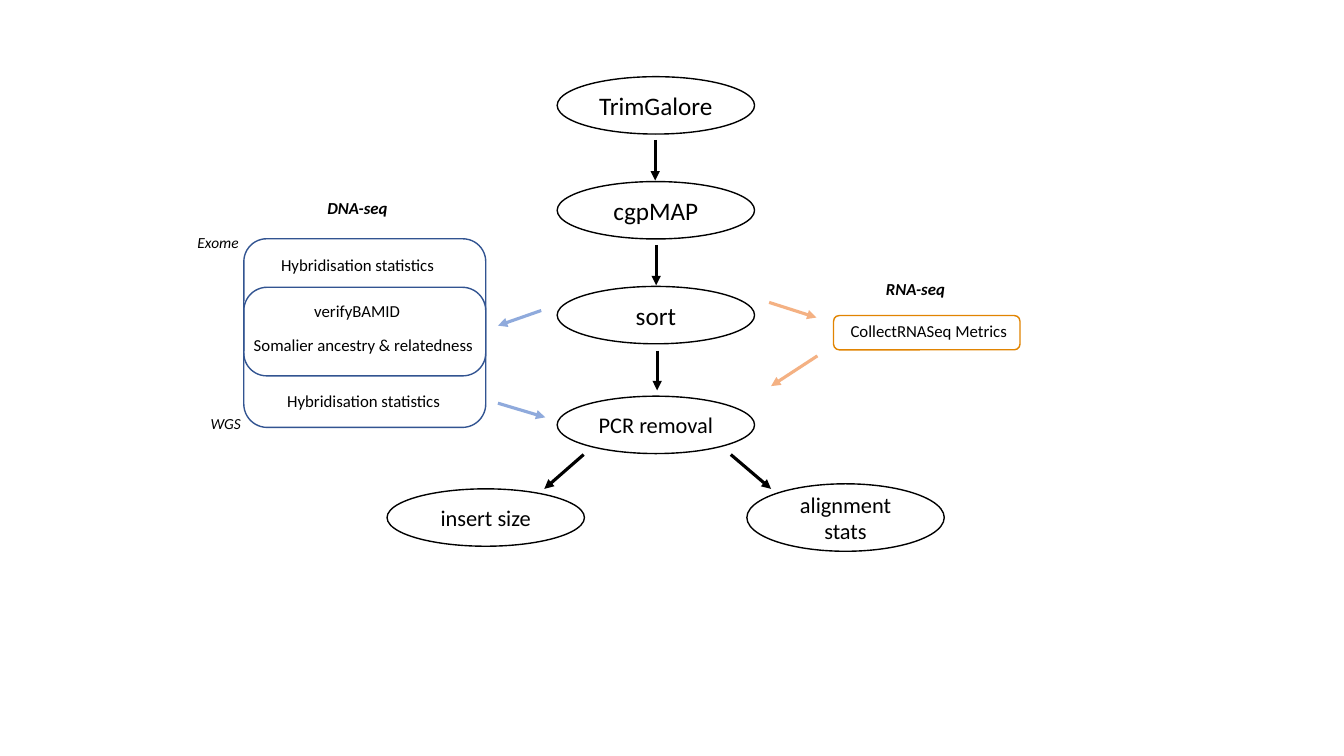
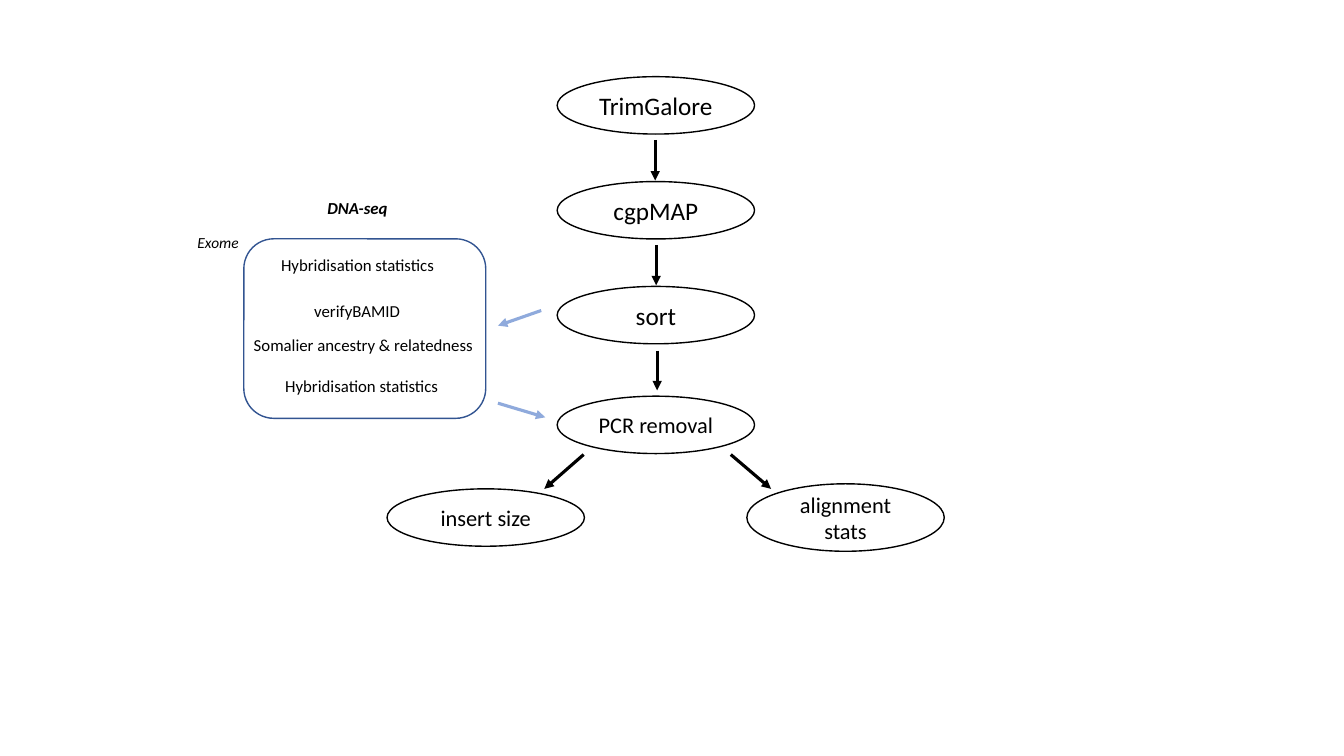
"""Build two flow diagrams of a sequencing quality-control pipeline."""
from dataclasses import dataclass

from lxml import etree
from pptx import Presentation
from pptx import util as u
from pptx.dml.color import RGBColor
from pptx.enum import shapes, text
from pptx.oxml.ns import qn


@dataclass(frozen=True)
class Theme:
    font: str = "Calibri"
    ink: str = "000000"
    paper: str = "FFFFFF"
    dna_line: str = "325491"
    dna_arrow: str = "8FAADC"
    rna_line: str = "E18401"
    rna_arrow: str = "F4B183"
    step_large: int = 18
    step_small: int = 16
    label: int = 12
    side_label: int = 11
    outline: float = 1
    arrow: float = 2.25


THEME = Theme()
STEP_W, STEP_H = 141, 41
MAIN_X, MAIN_TOP, MAIN_STEP = 398, 54.8, 74.9
PANEL_X, PANEL_W, PANEL_TOP = 174.2, 172.8, 170.6

LARGE_STEPS = ["TrimGalore", "cgpMAP", "sort"]
SMALL_STEPS = [
    ("PCR removal", MAIN_X, 283, STEP_H),
    ("insert size", 276.5, 349.2, STEP_H),
    ("alignment stats", 533.5, 345.6, 48.2),
]
STEPS = [(name, MAIN_X, MAIN_TOP + row * MAIN_STEP, STEP_H, THEME.step_large)
         for row, name in enumerate(LARGE_STEPS)]
STEPS += [(*step, THEME.step_small) for step in SMALL_STEPS]

FLOW_ARROWS = [
    (468, 100, 468, 129),
    (468.7, 175, 468.7, 203.8),
    (469.4, 250.4, 469.4, 278.8),
    (416.9, 324.7, 388.8, 349.2),
    (522, 324.7, 550.8, 349.2),
]
DNA_ARROWS = [(386.6, 221.8, 355.7, 232.6), (355.7, 288, 389.5, 298.1)]
RNA_ARROWS = [(549.4, 216, 583.2, 226.8), (583.9, 254.2, 550.8, 275.8)]

HEADING = {"size": THEME.label, "bold": True, "italic": True}
SIDE = {"size": THEME.side_label, "italic": True}
ITEM = {"size": THEME.label}
DNA_LABELS = [
    ("DNA-seq", 226.8, 137.5, 58.3, HEADING),
    ("Exome", 133.9, 162.7, 44.6, SIDE),
    ("Hybridisation statistics", 193.7, 178.6, 125.3, ITEM),
    ("verifyBAMID", 217.4, 211, 76.3, ITEM),
    ("Somalier ancestry & relatedness", PANEL_X, 235.4, PANEL_W, ITEM),
]
PAGES = [
    {
        "panels": [
            (PANEL_X, 205.2, PANEL_W, 100.1, THEME.dna_line),
            (PANEL_X, PANEL_TOP, PANEL_W, 97.9, THEME.dna_line),
            (595.4, 225.4, 133.2, 24.5, THEME.rna_line),
        ],
        "labels": [
            ("WGS", 143.3, 292.3, 36.7, SIDE),
            ("Hybridisation statistics", 198, 275.8, 125.3, ITEM),
            ("RNA-seq", 625.7, 195.8, 56.9, HEADING),
            ("CollectRNASeq Metrics", 600.5, 225.4, 127.4, ITEM),
        ],
        "rna_arrows": RNA_ARROWS,
    },
    {
        "panels": [(PANEL_X, PANEL_TOP, PANEL_W, 128.2, THEME.dna_line)],
        "labels": [("Hybridisation statistics", 196.6, 265, 125.3, ITEM)],
        "rna_arrows": [],
    },
]


def points(*values):
    return [u.Pt(value) for value in values]


def write(box, wording, size, bold=False, italic=False):
    para = box.text_frame.paragraphs[0]
    para.text = wording
    font = para.font
    font.name, font.size = THEME.font, u.Pt(size)
    font.bold, font.italic = bold, italic
    font.color.rgb = RGBColor.from_string(THEME.ink)
    return para


def add_outline(page, kind, area, color):
    box = page.shapes.add_shape(kind, *points(*area))
    box.shadow.inherit = False
    box.fill.background()
    box.line.color.rgb = RGBColor.from_string(color)
    box.line.width = u.Pt(THEME.outline)
    return box


def add_step(page, name, left, top, height, size):
    area = (left, top, STEP_W, height)
    step = add_outline(page, shapes.MSO_SHAPE.OVAL, area, THEME.ink)
    step.fill.solid()
    step.fill.fore_color.rgb = RGBColor.from_string(THEME.paper)
    step.text_frame.word_wrap = True
    step.text_frame.vertical_anchor = text.MSO_ANCHOR.MIDDLE
    write(step, name, size).alignment = text.PP_ALIGN.CENTER


def add_label(page, wording, left, top, width, style):
    height = style["size"] * 1.2 + 7.2
    label = page.shapes.add_textbox(*points(left, top, width, height))
    label.text_frame.word_wrap = False
    label.text_frame.auto_size = text.MSO_AUTO_SIZE.SHAPE_TO_FIT_TEXT
    write(label, wording, **style)


def add_arrow(page, ends, color):
    arrow = page.shapes.add_connector(shapes.MSO_CONNECTOR.STRAIGHT, *points(*ends))
    arrow.line.color.rgb = RGBColor.from_string(color)
    arrow.line.width = u.Pt(THEME.arrow)
    properties = arrow.line._get_or_add_ln()
    etree.SubElement(properties, qn("a:tailEnd"), type="triangle")
    etree.SubElement(properties.getparent(), qn("a:effectLst"))


def add_page(deck, content):
    page = deck.slides.add_slide(deck.slide_layouts[6])
    for step in STEPS:
        add_step(page, *step)
    for *area, color in content["panels"]:
        add_outline(page, shapes.MSO_SHAPE.ROUNDED_RECTANGLE, area, color)
    for label in DNA_LABELS + content["labels"]:
        add_label(page, *label)
    for arrows, color in [
        (FLOW_ARROWS, THEME.ink),
        (DNA_ARROWS, THEME.dna_arrow),
        (content["rna_arrows"], THEME.rna_arrow),
    ]:
        for ends in arrows:
            add_arrow(page, ends, color)


deck = Presentation()
deck.slide_width, deck.slide_height = points(960, 540)
for content in PAGES:
    add_page(deck, content)
deck.save("out.pptx")
